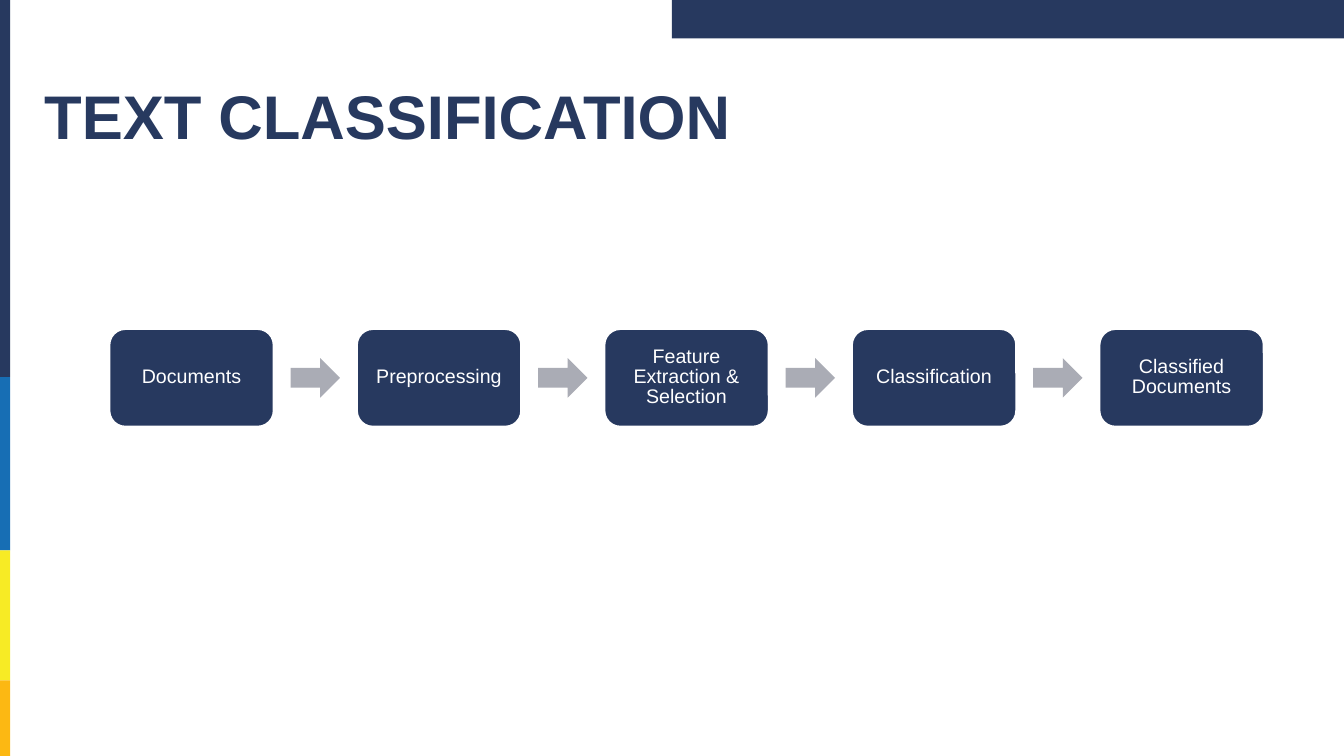
from pptx import Presentation
from pptx.dml.color import RGBColor
from pptx.enum.shapes import MSO_SHAPE
from pptx.enum.text import MSO_ANCHOR, PP_ALIGN
from pptx.util import Pt

COLORS = {
    "navy": "27395F",
    "blue": "176EB4",
    "yellow": "F7EB25",
    "amber": "FCB813",
    "gray": "AAACB5",
    "white": "FFFFFF",
}
STRIPES = [("navy", 269.3), ("blue", 123.8), ("yellow", 92.9), ("amber", 54)]
STAGES = [
    "Documents",
    "Preprocessing",
    "Feature Extraction & Selection",
    "Classification",
    "Classified Documents",
]
TITLE_FONT = {"name": "Arial", "size": Pt(44), "bold": True}
STAGE_FONT = {"name": "Arial", "size": Pt(14), "bold": False}

STAGE_LEFT, STAGE_WIDTH, STAGE_HEIGHT = 77.8, 118, 70.4
STAGE_PITCH = 176.8
ARROW_WIDTH, ARROW_HEIGHT = 35.3, 28.2
FLOW_MIDDLE = 269.9


def rgb(color):
    return RGBColor.from_string(COLORS[color])


def add_block(slide, kind, box, color):
    block = slide.shapes.add_shape(kind, *map(Pt, box))
    block.shadow.inherit = False
    block.fill.solid()
    block.fill.fore_color.rgb = rgb(color)
    block.line.fill.background()
    return block


def write(shape, text, font, color, align, spacing):
    frame = shape.text_frame
    frame.word_wrap = True
    frame.vertical_anchor = MSO_ANCHOR.MIDDLE
    paragraph = frame.paragraphs[0]
    paragraph.alignment = align
    paragraph.line_spacing = spacing
    run = paragraph.add_run()
    run.text = text
    for attribute, value in font.items():
        setattr(run.font, attribute, value)
    run.font.color.rgb = rgb(color)


def add_stripes(slide):
    top = 0
    for color, height in STRIPES:
        add_block(slide, MSO_SHAPE.RECTANGLE, (0, top, 7.2, height), color)
        top += height


def add_title(slide, text):
    title = slide.shapes.add_textbox(Pt(24.5), Pt(38.2), Pt(910.8), Pt(95))
    write(title, text, TITLE_FONT, "navy", PP_ALIGN.LEFT, 0.9)


def add_stage(slide, left, text):
    box = (left, FLOW_MIDDLE - STAGE_HEIGHT / 2, STAGE_WIDTH, STAGE_HEIGHT)
    stage = add_block(slide, MSO_SHAPE.ROUNDED_RECTANGLE, box, "navy")
    stage.line.color.rgb = rgb("white")
    stage.line.width = Pt(2)
    write(stage, text, STAGE_FONT, "white", PP_ALIGN.CENTER, 0.85)


def add_arrow(slide, stage_left):
    gap = STAGE_PITCH - STAGE_WIDTH
    left = stage_left + STAGE_WIDTH + (gap - ARROW_WIDTH) / 2
    box = (left, FLOW_MIDDLE - ARROW_HEIGHT / 2, ARROW_WIDTH, ARROW_HEIGHT)
    add_block(slide, MSO_SHAPE.RIGHT_ARROW, box, "gray")


def add_flow(slide):
    for index, text in enumerate(STAGES):
        left = STAGE_LEFT + index * STAGE_PITCH
        add_stage(slide, left, text)
        if index < len(STAGES) - 1:
            add_arrow(slide, left)


def main():
    presentation = Presentation()
    presentation.slide_width = Pt(960)
    presentation.slide_height = Pt(540)
    slide = presentation.slides.add_slide(presentation.slide_layouts[6])
    add_stripes(slide)
    add_block(slide, MSO_SHAPE.RECTANGLE, (480, 0, 480, 27.4), "navy")
    add_title(slide, "TEXT CLASSIFICATION")
    add_flow(slide)
    presentation.save("out.pptx")


if __name__ == "__main__":
    main()
